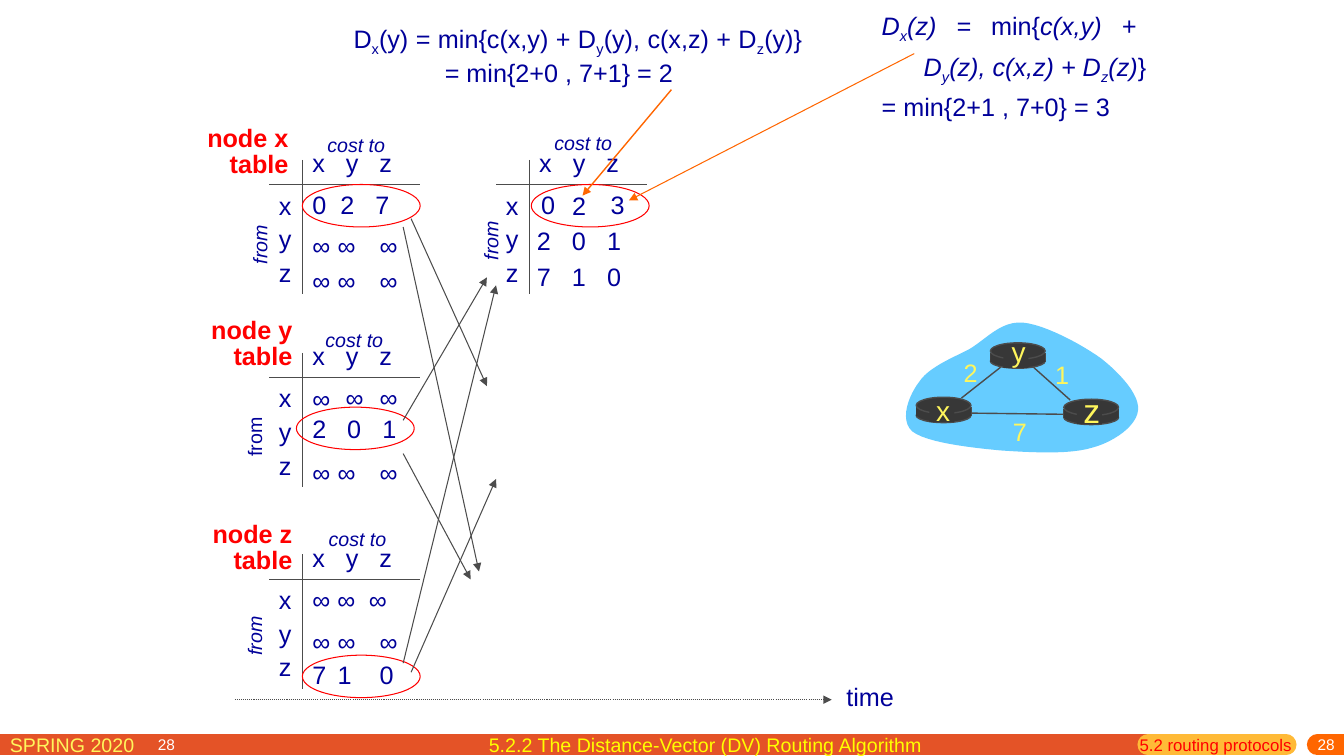
from lxml.etree import SubElement
from pptx import Presentation
from pptx.dml.color import RGBColor
from pptx.enum.dml import MSO_LINE
from pptx.enum.shapes import MSO_CONNECTOR, MSO_SHAPE
from pptx.enum.text import MSO_ANCHOR, MSO_AUTO_SIZE, PP_ALIGN
from pptx.oxml.ns import qn
from pptx.util import Cm, Pt

NAVY, RED, YELLOW, GRAY, ORANGE = "000099", "FF0000", "FFF65C", "4C4C4C", "FF6600"
DARK, WHITE, BLUE = "373737", "FFFFFF", "66CCFF"
EVEN_TABS = (0.88, 1.77)
color = RGBColor.from_string

presentation = Presentation()
presentation.slide_width, presentation.slide_height = Cm(33.87), Cm(19.05)
slide = presentation.slides.add_slide(presentation.slide_layouts[6])
shapes = slide.shapes


def add_text(left, top, width, height, text, size=18, hue=NAVY, bold=False,
             italic=False, align=PP_ALIGN.LEFT, tabs=(), wrap=False):
    """Add a text box; tabs are tab stops in cm."""
    box = shapes.add_textbox(Cm(left), Cm(top), Cm(width), Cm(height))
    frame = box.text_frame
    frame.word_wrap = wrap
    frame.auto_size = MSO_AUTO_SIZE.NONE if wrap else MSO_AUTO_SIZE.SHAPE_TO_FIT_TEXT
    frame.text = text
    for paragraph in frame.paragraphs:
        paragraph.alignment = align
        if tabs:
            tab_list = SubElement(paragraph._p.get_or_add_pPr(), qn("a:tabLst"))
            for stop in tabs:
                SubElement(tab_list, qn("a:tab"), pos=str(Cm(stop)), algn="l")
        for run in paragraph.runs:
            run.font.name, run.font.size = "Arial", Pt(size)
            run.font.bold, run.font.italic = bold, italic
            run.font.color.rgb = color(hue)
    return box


def add_line(x1, y1, x2, y2, hue=GRAY, width=0.75, arrow=False):
    line = shapes.add_connector(MSO_CONNECTOR.STRAIGHT, Cm(x1), Cm(y1), Cm(x2), Cm(y2))
    line.line.color.rgb = color(hue)
    line.line.width = Pt(width)
    if arrow:
        SubElement(line.line._ln, qn("a:tailEnd"), type="triangle")
    SubElement(line._element.spPr, qn("a:effectLst"))
    return line


# Footer
for x1, x2, hue in ((0, 28.93, "E45327"), (28.93, 32.41, "FFBA37"), (33.2, 33.87, ORANGE)):
    add_line(x1, 18.77, x2, 18.77, hue, 15).line._ln.set("cap", "rnd")
add_text(0, 18.34, 5.82, 0.79, "SPRING 2020", 14, YELLOW, wrap=True)
for left, align in ((3.73, PP_ALIGN.LEFT), (27.31, PP_ALIGN.RIGHT)):
    number = add_text(left, 18.59, 6.58, 0.46, "28", 11, WHITE, align=align, wrap=True)
    number.text_frame.vertical_anchor = MSO_ANCHOR.MIDDLE
    number.text_frame.margin_top = 0
add_text(28.47, 18.39, 4.67, 0.79, "5.2 routing protocols", 12, RED, wrap=True)
add_text(12.07, 18.34, 11.48, 0.86, "5.2.2 The Distance-Vector (DV) Routing Algorithm", 14, "FFFF00")

# Table frames: cross point, "cost to" position, "from" position and slant
frames = (
    (7.62, 4.66, 8.0, 3.23, 5.79, 5.74, True),
    (13.34, 4.66, 13.72, 3.18, 11.61, 5.64, True),
    (7.62, 9.52, 7.95, 8.15, 5.66, 10.59, False),
    (7.62, 14.6, 8.03, 13.16, 5.66, 15.6, True),
)
for x, y, cost_x, cost_y, from_x, from_y, slanted in frames:
    add_line(x, y - 0.63, x, y + 2.76)
    add_line(x - 0.84, y, x + 2.96, y)
    add_text(x, y - 1.06, 3, 1.02, "x\ty\tz", tabs=(0.85, 1.69), wrap=True)
    for row, node in enumerate("xyz"):
        add_text(x - 0.84, y + 0.85 * row, 0.84, 1.02, node)
    add_text(cost_x, cost_y, 1.96, 0.84, "cost to", 14, italic=True)
    add_text(from_x, from_y, 1.5, 0.84, "from", 14, italic=slanted).rotation = 270

for left, top, node in ((4.95, 3.07, "x"), (5.05, 7.92, "y"), (5.05, 13.06, "z")):
    title = add_text(left, top, 2.57, 1.55, f"node {node}\ntable", 18, RED, bold=True,
                     align=PP_ALIGN.RIGHT)
    for paragraph in title.text_frame.paragraphs:
        paragraph.line_spacing = 0.85

# Table entries
for top, entries in ((5.69, "∞∞∞"), (6.55, "∞∞∞"), (11.4, "∞∞∞"), (15.65, "∞∞∞"), (16.48, "710")):
    for left, entry in zip((7.62, 8.26, 9.32), entries):
        add_text(left, top, 0.97, 1.02, entry)
for left, top, entry in ((8.46, 9.5, "∞"), (9.32, 9.5, "∞"), (13.39, 4.65, "0"),
                         (14.17, 4.67, "2"), (15.14, 4.65, "3")):
    add_text(left, top, 0.97, 1.02, entry)
for left, top, height, row, tabs in (
    (7.62, 4.65, 1.02, "0\t2\t7", (0.71, 1.59)),
    (7.62, 9.53, 1.78, "∞\n2\t0\t1", EVEN_TABS),
    (7.62, 14.6, 1.02, "∞\t∞\t∞", (0.63, 1.43)),
    (13.28, 5.56, 1.02, "2\t0\t1", EVEN_TABS),
    (13.28, 6.45, 1.02, "7\t1\t0", EVEN_TABS),
):
    add_text(left, top, 3, height, row, tabs=tabs, wrap=True)

for left, top in ((7.62, 4.65), (7.47, 10.26), (7.62, 16.51), (13.39, 4.65)):
    ring = shapes.add_shape(MSO_SHAPE.OVAL, Cm(left), Cm(top), Cm(2.97), Cm(1.07))
    ring.shadow.inherit = False
    ring.fill.background()
    ring.line.color.rgb = color(RED)
    ring.line.width = Pt(0.75)

# Vector exchange and time axis
for ends in (
    (10.36, 5.51, 12.27, 9.73), (10.16, 5.72, 12.07, 14.4),
    (10.16, 10.59, 12.27, 6.99), (10.16, 11.43, 11.86, 14.6),
    (10.16, 16.71, 12.5, 7.19), (10.36, 16.94, 12.5, 12.07),
):
    add_line(*ends, arrow=True)
time_axis = add_line(5.92, 17.63, 20.96, 17.63, arrow=True)
time_axis.line.dash_style = MSO_LINE.ROUND_DOT
add_text(21.08, 17.04, 1.7, 1.02, "time")

# Network cloud: Bezier segments sampled into short steps
cloud_start = (23.16, 9.63)
cloud_curves = (
    ((23.39, 9.27), (23.95, 9.04), (24.41, 8.81)),
    ((24.84, 8.56), (25.22, 8.08), (25.78, 8.13)),
    ((26.34, 8.18), (27.28, 8.69), (27.76, 9.04)),
    ((28.24, 9.42), (28.73, 9.96), (28.68, 10.34)),
    ((28.65, 10.72), (28.09, 11.13), (27.53, 11.28)),
    ((26.95, 11.46), (25.96, 11.4), (25.2, 11.35)),
    ((24.46, 11.28), (23.34, 11.15), (22.99, 10.87)),
    ((22.66, 10.57), (22.91, 9.96), cloud_start),
)
outline, point = [], cloud_start
for curve in cloud_curves:
    for step in range(1, 13):
        t = step / 12
        weights = ((1 - t) ** 3, 3 * t * (1 - t) ** 2, 3 * t * t * (1 - t), t ** 3)
        outline.append([Cm(sum(w * p[axis] for w, p in zip(weights, (point, *curve))))
                        for axis in (0, 1)])
    point = curve[-1]
builder = shapes.build_freeform(Cm(cloud_start[0]), Cm(cloud_start[1]))
builder.add_line_segments(outline)
cloud = builder.convert_to_shape()
cloud.shadow.inherit = False
cloud.fill.solid()
cloud.fill.fore_color.rgb = color(BLUE)
cloud.line.fill.background()

for link in ((24.23, 10.03, 25.22, 9.25), (26.04, 9.25, 26.97, 10.08), (26.87, 10.44, 24.49, 10.41)):
    add_line(*link, width=1)

router_parts = (
    (MSO_SHAPE.OVAL, 0, 0.28, 1.38, 0.36),
    (MSO_SHAPE.RECTANGLE, 0, 0.25, 1.38, 0.23),
    (MSO_SHAPE.OVAL, 0, 0, 1.38, 0.41),
    (MSO_SHAPE.RECTANGLE, 0.33, 0.05, 0.63, 0.58),
)
for node, x, y, label_x, label_y, size in (
    ("x", 23.09, 10.01, 23.32, 9.78, 20),
    ("z", 26.81, 10.06, 27.05, 9.7, 24),
    ("y", 24.96, 8.64, 25.22, 8.31, 20),
):
    for side in (x, x + 1.38):
        add_line(side, y + 0.25, side, y + 0.48, width=1)
    for kind, dx, dy, width, height in router_parts:
        part = shapes.add_shape(kind, Cm(x + dx), Cm(y + dy), Cm(width), Cm(height))
        part.shadow.inherit = False
        part.fill.solid()
        part.fill.fore_color.rgb = color(DARK)
        if kind == MSO_SHAPE.OVAL:
            part.line.color.rgb = color(GRAY)
            part.line.width = Pt(1)
        else:
            part.line.fill.background()
    add_text(label_x, label_y, 0.9, 1.09, node, size, YELLOW, align=PP_ALIGN.CENTER)
for left, top, cost in ((26.34, 8.92, "1"), (24.03, 8.89, "2"), (25.27, 10.36, "7")):
    add_text(left, top, 0.86, 1.02, cost, 18, YELLOW, align=PP_ALIGN.CENTER)

# Formulas: "_" opens a one-letter subscript, each run has its slant, None breaks the line
plain_formula = [[(text, False) for text in ("D", "_x", "(y) = min{c(x,y) + D", "_y", "(y), c(x,z) + D", "_z", "(y)} ")]
                 + [None, ("= min{2+0 , 7+1} = 2", False)]]
slanted_formula = [
    [("D", True), ("_x", True), ("(z) = ", True), ("min{", False), ("c(x,y) + ", True), None,
     ("D", True), ("_y", True), ("(z), c(x,z) + D", True), ("_z", True), ("(z)", True), ("} ", False)],
    [("= min{2+1 , 7+0} = 3", False)],
]
for left, top, width, height, hanging, spacing, formula in (
    (8.66, 0.51, 11.99, 1.78, 2.3, 1.0, plain_formula),
    (21.97, 0.08, 7.42, 3.0, 1.06, 1.2, slanted_formula),
):
    frame = add_text(left, top, width, height, "").text_frame
    frame.vertical_anchor = MSO_ANCHOR.MIDDLE
    for index, runs in enumerate(formula):
        paragraph = frame.add_paragraph() if index else frame.paragraphs[0]
        paragraph.alignment = PP_ALIGN.JUSTIFY
        paragraph.line_spacing = spacing
        if None in runs:
            properties = paragraph._p.get_or_add_pPr()
            properties.set("marL", str(Cm(hanging)))
            properties.set("indent", str(-Cm(hanging)))
        for piece in runs:
            if piece is None:
                paragraph.add_line_break()
                continue
            run = paragraph.add_run()
            run.text = piece[0].lstrip("_")
            run.font.name, run.font.size, run.font.italic = "Arial", Pt(18), piece[1]
            run.font.color.rgb = color(NAVY)
            if piece[0].startswith("_"):
                run.font._element.set("baseline", "-25000")
add_line(16.92, 2.26, 14.68, 4.93, ORANGE, 1, arrow=True)
add_line(23.04, 1.35, 15.85, 5.05, ORANGE, arrow=True)

presentation.save("out.pptx")
